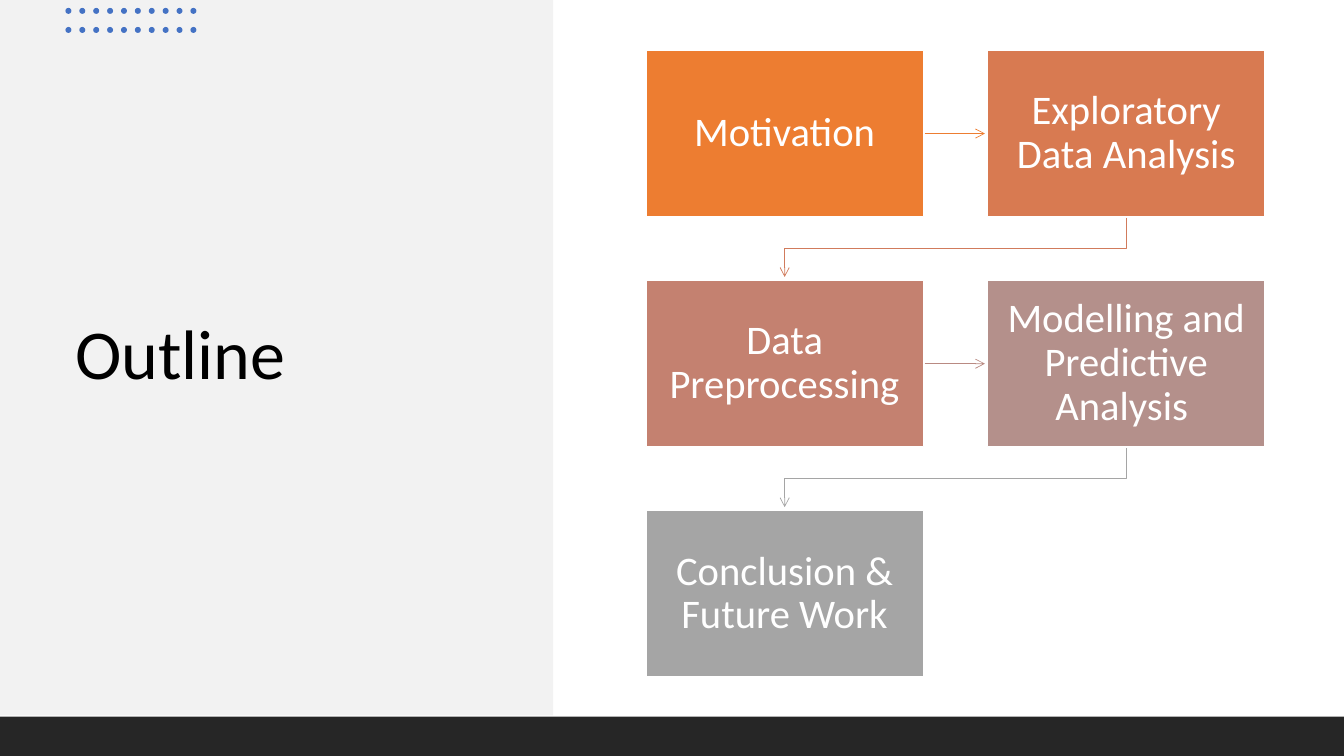
from lxml import etree
from pptx import Presentation
from pptx.dml.color import RGBColor
from pptx.enum.shapes import MSO_CONNECTOR, MSO_SHAPE
from pptx.enum.text import MSO_ANCHOR, PP_ALIGN
from pptx.oxml.ns import qn
from pptx.util import Cm, Pt

RECT, OVAL = MSO_SHAPE.RECTANGLE, MSO_SHAPE.OVAL
STRAIGHT = MSO_CONNECTOR.STRAIGHT
MIDDLE = MSO_ANCHOR.MIDDLE
LEFT, CENTER = PP_ALIGN.LEFT, PP_ALIGN.CENTER

SLIDE_W, SLIDE_H = 33.87, 19.05
BOX_X, BOX_Y, BOX_W, BOX_H = 16.28, 1.27, 6.99, 4.19
PITCH_X, PITCH_Y = 8.61, 5.8
STEPS = [
    ("Motivation", "ED7D31", "ED7D31"),
    ("Exploratory Data Analysis", "D87A51", "D17B5C"),
    ("Data Preprocessing", "C48170", "B98A82"),
    ("Modelling and Predictive Analysis ", "B4908B", "A5A5A5"),
    ("Conclusion & Future Work", "A5A5A5", None),
]


def rgb(value):
    return RGBColor.from_string(value)


def write(sp, text, size, color, align=LEFT, font="Calibri", inset=(0.25, 0.13)):
    tf = sp.text_frame
    tf.word_wrap = True
    tf.vertical_anchor = MIDDLE
    tf.margin_left = tf.margin_right = Cm(inset[0])
    tf.margin_top = tf.margin_bottom = Cm(inset[1])
    p = tf.paragraphs[0]
    p.alignment = align
    p.line_spacing = 0.9
    r = p.add_run()
    r.text = text
    r.font.name = font
    r.font.size = Pt(size)
    r.font.color.rgb = rgb(color)


class Deck:
    white, black = "FFFFFF", "000000"
    panel, bar, dot = "F2F2F2", "262626", "4472C4"

    def __init__(self):
        self.prs = Presentation()
        self.prs.slide_width, self.prs.slide_height = Cm(SLIDE_W), Cm(SLIDE_H)
        self.slide = self.prs.slides.add_slide(self.prs.slide_layouts[6])

    def shape(self, kind, x, y, w, h, fill, line=None):
        sp = self.slide.shapes.add_shape(kind, Cm(x), Cm(y), Cm(w), Cm(h))
        sp.shadow.inherit = False
        sp.fill.solid()
        sp.fill.fore_color.rgb = rgb(fill)
        if line:
            sp.line.color.rgb = rgb(line)
            sp.line.width = Pt(1)
        else:
            sp.line.fill.background()
        return sp

    def text(self, x, y, w, h, text, **style):
        sp = self.slide.shapes.add_textbox(Cm(x), Cm(y), Cm(w), Cm(h))
        write(sp, text, **style)

    def arrow(self, points, color):
        points = [(Cm(x), Cm(y)) for x, y in points]
        if len(points) == 2:
            sp = self.slide.shapes.add_connector(STRAIGHT, *points[0], *points[1])
        else:
            builder = self.slide.shapes.build_freeform(*points[0])
            builder.add_line_segments(points[1:], close=False)
            sp = builder.convert_to_shape()
            sp.fill.background()
        sp.line.color.rgb = rgb(color)
        sp.line.width = Pt(0.5)
        etree.SubElement(sp.line._get_or_add_ln(), qn("a:tailEnd"), type="arrow")
        etree.SubElement(sp._element.spPr, qn("a:effectLst"))


s = Deck()
s.shape(RECT, 0, 0, 13.94, 18.03, s.panel)
s.text(1.65, 3.35, 10.77, 11.3, "Outline", size=50, color=s.black)
for row in range(2):
    for col in range(10):
        s.shape(OVAL, 1.65 + 0.35 * col, 0.2 + 0.48 * row, 0.15, 0.15, s.dot)
s.shape(RECT, 0, 18.06, SLIDE_W, 0.99, s.bar)

for i, (label, fill, arrow_color) in enumerate(STEPS):
    row, col = divmod(i, 2)
    x, y = BOX_X + PITCH_X * col, BOX_Y + PITCH_Y * row
    box = s.shape(RECT, x, y, BOX_W, BOX_H, fill, s.white)
    write(box, label, size=29, color=s.white, align=CENTER, inset=(0.33, 0.36))
    if not arrow_color:
        continue
    if col == 0:
        mid = y + BOX_H / 2
        points = [(x + BOX_W + 0.03, mid), (x + PITCH_X - 0.07, mid)]
    else:
        start, end = x + BOX_W / 2, x + BOX_W / 2 - PITCH_X
        bottom = y + BOX_H
        bend = (bottom + y + PITCH_Y) / 2
        points = [(start, bottom + 0.03), (start, bend), (end, bend), (end, y + PITCH_Y - 0.09)]
    s.arrow(points, arrow_color)

s.prs.save("out.pptx")
